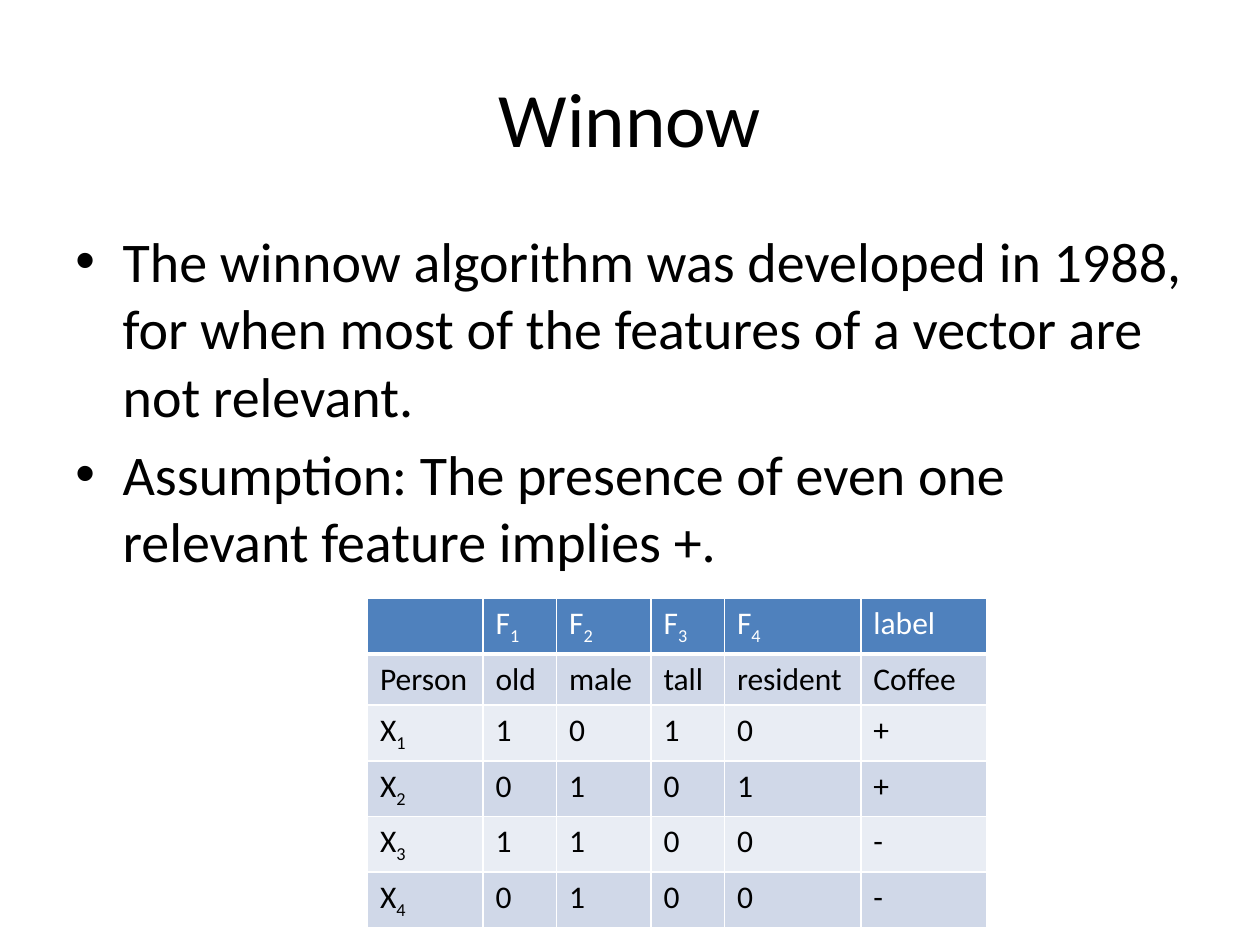
from lxml.etree import SubElement
from pptx import Presentation
from pptx.dml.color import RGBColor
from pptx.enum.text import MSO_ANCHOR, PP_ALIGN
from pptx.oxml.ns import qn
from pptx.util import Pt


def color(value):
    return RGBColor.from_string(value)


def add_span(para, text, size, ink="000000"):
    span = para.add_run()
    span.text = text
    span.font.name = "Calibri"
    span.font.size = Pt(size)
    span.font.bold = False
    span.font.color.rgb = color(ink)
    return span


deck = Presentation()
deck.slide_width, deck.slide_height = Pt(720), Pt(540)
page = deck.slides.add_slide(deck.slide_layouts[6])

title_box = page.shapes.add_textbox(Pt(36), Pt(21.6), Pt(648), Pt(90))
title_box.text_frame.word_wrap = True
title_box.text_frame.vertical_anchor = MSO_ANCHOR.MIDDLE
para = title_box.text_frame.paragraphs[0]
para.alignment = PP_ALIGN.CENTER
add_span(para, "Winnow", 44)

body_box = page.shapes.add_textbox(Pt(36), Pt(126), Pt(648), Pt(356.4))
body_box.text_frame.word_wrap = True
points = [
    "The winnow algorithm was developed in 1988, for when most of the features of a vector are not relevant.",
    "Assumption: The presence of even one relevant feature implies +.",
]
for index, point in enumerate(points):
    para = body_box.text_frame.paragraphs[0]
    if index:
        para = body_box.text_frame.add_paragraph()
        para.space_before = Pt(6.4)
    props = para._p.get_or_add_pPr()
    props.set("marL", str(Pt(27)))
    props.set("indent", str(Pt(-27)))
    SubElement(props, qn("a:buFont"), typeface="Arial")
    SubElement(props, qn("a:buChar"), char="•")
    add_span(para, point, 32)

rows = [
    ["", "F_1", "F_2", "F_3", "F_4", "label"],
    ["Person", "old", "male", "tall", "resident", "Coffee"],
    ["X_1", "1", "0", "1", "0", "+"],
    ["X_2", "0", "1", "0", "1", "+"],
    ["X_3", "1", "1", "0", "0", "-"],
    ["X_4", "0", "1", "0", "0", "-"],
]
widths = [66, 42, 54, 42, 78, 72]
row_height = 29.2
frame = page.shapes.add_table(
    len(rows), len(widths), Pt(210), Pt(342), Pt(sum(widths)), Pt(row_height * len(rows))
)
table = frame.table
for column, width in zip(table.columns, widths):
    column.width = Pt(width)

for row_index, row in enumerate(rows):
    header = row_index == 0
    table.rows[row_index].height = Pt(row_height)
    fill = "4F81BD" if header else ("E9EDF4", "D0D8E8")[row_index % 2]
    ink = "FFFFFF" if header else "000000"
    for column_index, text in enumerate(row):
        cell = table.cell(row_index, column_index)
        props = cell._tc.get_or_add_tcPr()
        for side in ("lnL", "lnR", "lnT", "lnB"):
            weight = 3 if header and side == "lnB" else 1
            line = SubElement(props, qn(f"a:{side}"), w=str(Pt(weight)))
            SubElement(SubElement(line, qn("a:solidFill")), qn("a:srgbClr"), val="FFFFFF")
        cell.fill.solid()
        cell.fill.fore_color.rgb = color(fill)
        para = cell.text_frame.paragraphs[0]
        base, _, subscript = text.partition("_")
        if base:
            add_span(para, base, 18, ink)
        else:
            para.font.size = Pt(18)
        if subscript:
            span = add_span(para, subscript, 18, ink)
            span.font._element.set("baseline", "-25000")

deck.save("out.pptx")
